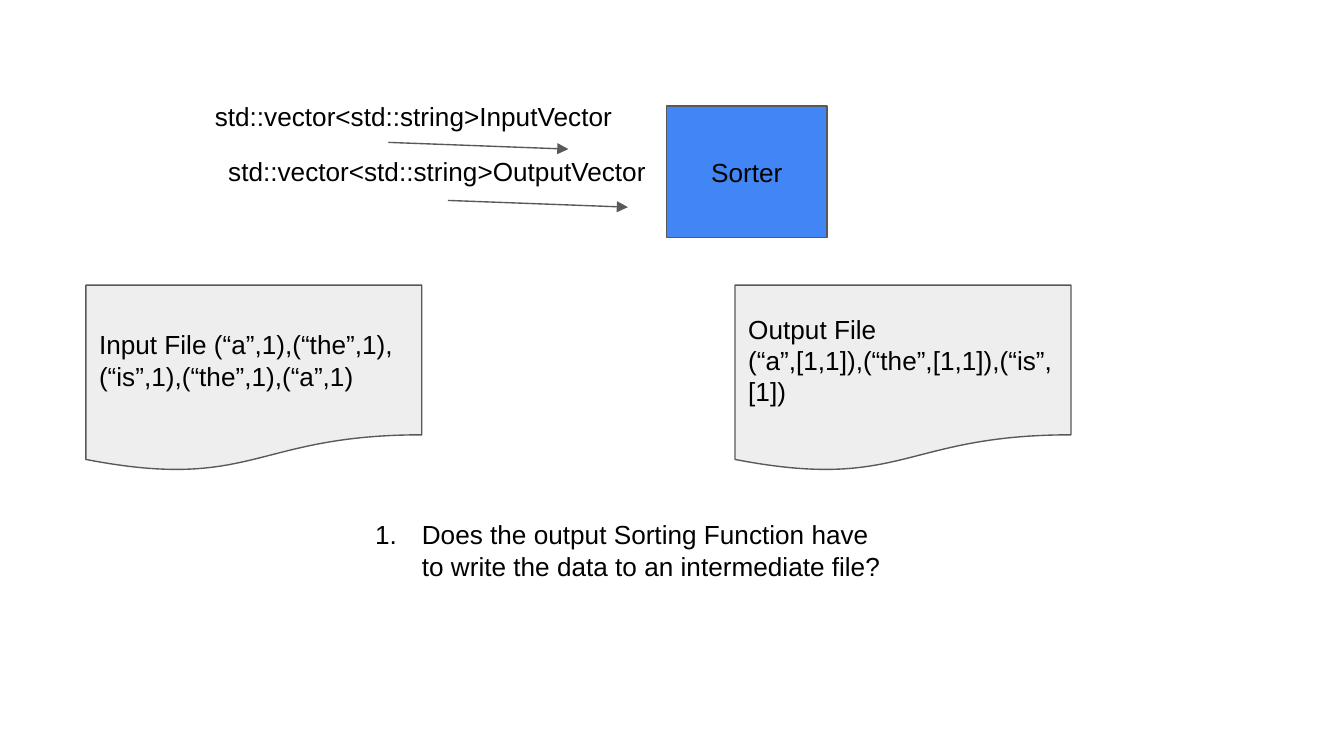
from dataclasses import dataclass

from lxml.etree import SubElement
from pptx import Presentation
from pptx.dml.color import RGBColor
from pptx.enum.shapes import MSO_CONNECTOR, MSO_SHAPE
from pptx.enum.text import MSO_ANCHOR, MSO_AUTO_SIZE, PP_ALIGN
from pptx.oxml.ns import qn
from pptx.util import Pt

COLORS = {"text": "000000", "line": "595959", "sorter": "4285F4", "file": "EEEEEE"}
FONT, FONT_SIZE = "Arial", 14
INSET = 7.2
FILE_TOP, FILE_W, FILE_H = 152.8, 180, 100
ARROW_DX, ARROW_DY = 96.4, 3.6


@dataclass
class Node:
    text: str
    left: float
    top: float
    width: float
    height: float
    shape: MSO_SHAPE
    fill: str
    align: PP_ALIGN = PP_ALIGN.LEFT


@dataclass
class Label:
    text: str
    left: float
    top: float
    width: float
    height: float
    numbered: bool = False


@dataclass
class Arrow:
    x: float
    y: float


NODES = [
    Node("Sorter", 357.1, 56.8, 86, 70.6, MSO_SHAPE.RECTANGLE, "sorter", PP_ALIGN.CENTER),
    Node("Input File (“a”,1),(“the”,1),(“is”,1),(“the”,1),(“a”,1)",
         46, FILE_TOP, FILE_W, FILE_H, MSO_SHAPE.FLOWCHART_DOCUMENT, "file"),
    Node("Output File\n(“a”,[1,1]),(“the”,[1,1]),(“is”,[1])",
         393.8, FILE_TOP, FILE_W, FILE_H, MSO_SHAPE.FLOWCHART_DOCUMENT, "file"),
]
ARROWS = [Arrow(208.1, 76.3), Arrow(240, 107.4)]
LABELS = [
    Label("std::vector<std::string>InputVector", 108, 46.8, 296.6, 48.2),
    Label("std::vector<std::string>OutputVector", 115.2, 76.3, 239.8, 31),
    Label("Does the output Sorting Function have to write the data to an intermediate file?",
          182.9, 270.7, 296.6, 64.8, numbered=True),
]


def rgb(name: str) -> RGBColor:
    return RGBColor.from_string(COLORS[name])


def write_text(sp, text: str, anchor: MSO_ANCHOR, align: PP_ALIGN = PP_ALIGN.LEFT) -> None:
    tf = sp.text_frame
    tf.text = text
    tf.word_wrap = True
    tf.vertical_anchor = anchor
    tf.margin_left = tf.margin_top = tf.margin_right = tf.margin_bottom = Pt(INSET)
    for p in tf.paragraphs:
        p.alignment = align
        for r in p.runs:
            r.font.name = FONT
            r.font.size = Pt(FONT_SIZE)
            r.font.color.rgb = rgb("text")


def set_line(line) -> None:
    line.color.rgb = rgb("line")
    line.width = Pt(0.75)


def number_paragraph(p) -> None:
    """Give the paragraph a hanging "1." number."""
    pPr = p._p.get_or_add_pPr()
    pPr.set("marL", str(Pt(36)))
    pPr.set("indent", str(Pt(-25)))
    color = SubElement(pPr, qn("a:buClr"))
    SubElement(color, qn("a:srgbClr"), val=COLORS["text"])
    SubElement(pPr, qn("a:buFont"), typeface=FONT)
    SubElement(pPr, qn("a:buAutoNum"), type="arabicPeriod")


def draw_node(s, node: Node) -> None:
    sp = s.shapes.add_shape(node.shape, Pt(node.left), Pt(node.top),
                            Pt(node.width), Pt(node.height))
    sp.shadow.inherit = False
    sp.fill.solid()
    sp.fill.fore_color.rgb = rgb(node.fill)
    set_line(sp.line)
    write_text(sp, node.text, MSO_ANCHOR.MIDDLE, node.align)


def draw_arrow(s, arrow: Arrow) -> None:
    cxn = s.shapes.add_connector(MSO_CONNECTOR.STRAIGHT, Pt(arrow.x), Pt(arrow.y),
                                 Pt(arrow.x + ARROW_DX), Pt(arrow.y + ARROW_DY))
    set_line(cxn.line)
    SubElement(cxn.line._get_or_add_ln(), qn("a:tailEnd"), type="triangle", w="med", len="med")
    SubElement(cxn._element.spPr, qn("a:effectLst"))


def draw_label(s, label: Label) -> None:
    sp = s.shapes.add_textbox(Pt(label.left), Pt(label.top), Pt(label.width), Pt(label.height))
    write_text(sp, label.text, MSO_ANCHOR.TOP)
    sp.text_frame.auto_size = MSO_AUTO_SIZE.SHAPE_TO_FIT_TEXT
    if label.numbered:
        number_paragraph(sp.text_frame.paragraphs[0])


def main() -> None:
    prs = Presentation()
    prs.slide_width, prs.slide_height = Pt(720), Pt(405)
    s = prs.slides.add_slide(prs.slide_layouts[6])
    for node in NODES:
        draw_node(s, node)
    for arrow in ARROWS:
        draw_arrow(s, arrow)
    for label in LABELS:
        draw_label(s, label)
    prs.save("out.pptx")


if __name__ == "__main__":
    main()
